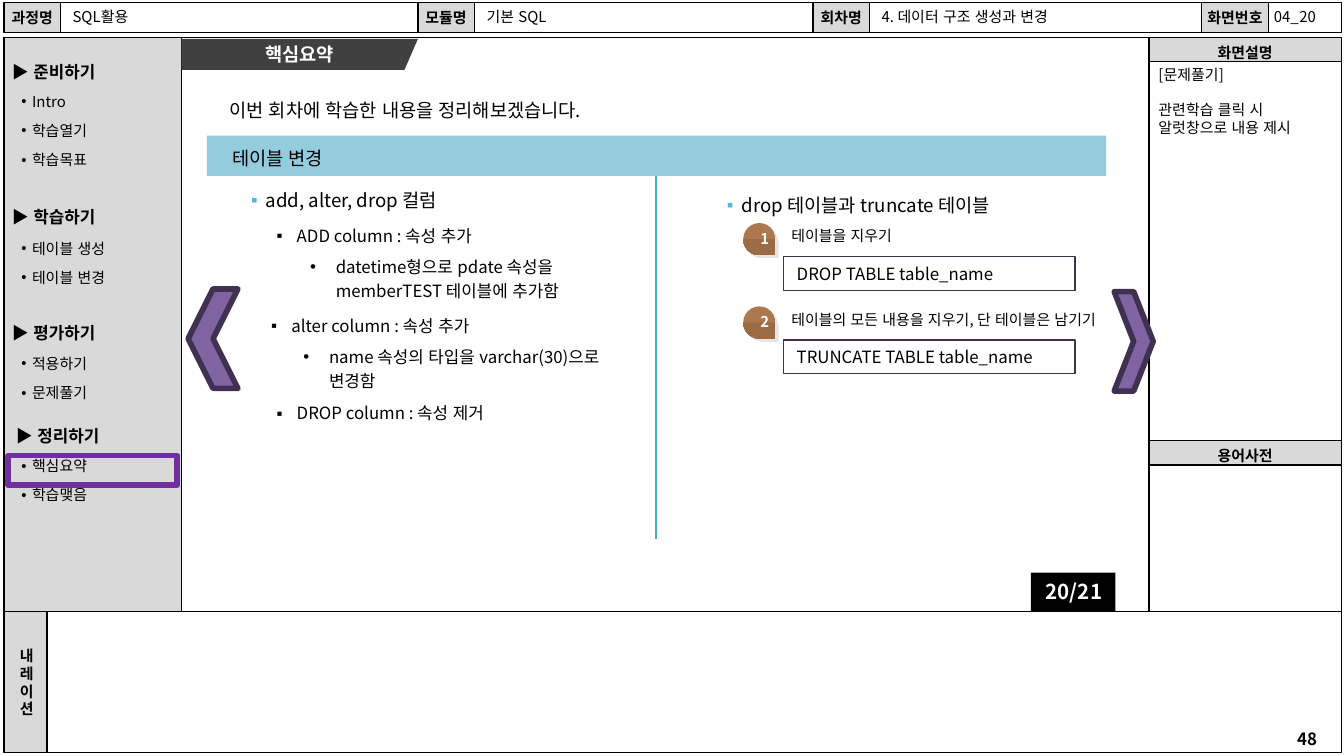
from lxml.etree import SubElement
from pptx import Presentation
from pptx.dml.color import RGBColor
from pptx.enum.lang import MSO_LANGUAGE_ID
from pptx.enum.shapes import MSO_CONNECTOR, MSO_SHAPE
from pptx.enum.text import MSO_ANCHOR, MSO_AUTO_SIZE, PP_ALIGN
from pptx.oxml.ns import qn
from pptx.util import Pt

PX = 9144
FONT = "Noto Sans CJK KR"
BLACK, WHITE, GREY = "000000", "FFFFFF", "D9D9D9"
PURPLE, DARK_PURPLE = "8064A2", "403152"
TIGHT = (9, 4, 9, 4)
TOPIC = dict(size=10, grow=True, bullet="▪", indent=11, bullet_color="56B8D6", after=3)

def emu(*lengths):
    """Turn px lengths into EMU."""
    return [length * PX for length in lengths]

def rgb(hex_color):
    """Turn a hex string into a colour."""
    return RGBColor.from_string(hex_color)

def paint(shape, fill, line, weight):
    """Set fill and outline, without a shadow."""
    shape.shadow.inherit = False
    for part, color in [(shape.fill, fill), (shape.line.fill, line)]:
        if color:
            part.solid()
            part.fore_color.rgb = rgb(color)
        else:
            part.background()
    shape.line.width = Pt(weight)

def block(slide, box, fill=None, line=BLACK, weight=0.75, kind=MSO_SHAPE.RECTANGLE):
    """Add a painted preset shape."""
    shape = slide.shapes.add_shape(kind, *emu(*box))
    paint(shape, fill, line, weight)
    return shape

def add_bullet(paragraph, symbol, indent, color):
    """Give a paragraph a hanging bullet."""
    props = paragraph._p.get_or_add_pPr()
    props.set("marL", str(indent * PX))
    props.set("indent", str(-indent * PX))
    if color:
        SubElement(SubElement(props, qn("a:buClr")), qn("a:srgbClr"), val=color)
    SubElement(props, qn("a:buFont"), typeface="Arial")
    SubElement(props, qn("a:buChar"), char=symbol)

def write(shape, lines, size=8, color=BLACK, bold=False, align=PP_ALIGN.LEFT,
          anchor=MSO_ANCHOR.TOP, insets=(10, 5, 10, 5), wrap=True, grow=False, bullet=None,
          indent=8, bullet_color=None, spacing=None, gap=0, after=None, font=FONT):
    """Fill a shape with one paragraph for each line."""
    frame = shape.text_frame
    frame.word_wrap = wrap
    frame.auto_size = MSO_AUTO_SIZE.SHAPE_TO_FIT_TEXT if grow else MSO_AUTO_SIZE.NONE
    frame.vertical_anchor = anchor
    frame.margin_left, frame.margin_top, frame.margin_right, frame.margin_bottom = emu(*insets)
    for index, line in enumerate(lines):
        paragraph = frame.add_paragraph() if index else frame.paragraphs[0]
        if bullet:
            add_bullet(paragraph, bullet, indent, bullet_color)
        paragraph.alignment = align
        paragraph.line_spacing = spacing
        paragraph.space_before = Pt(gap if index else 0)
        paragraph.space_after = Pt(after or 0)
        run = paragraph.add_run()
        run.text = line
        run.font.size, run.font.bold, run.font.name = Pt(size), bold, font
        run.font.language_id = MSO_LANGUAGE_ID.KOREAN
        run.font.color.rgb = rgb(color)
        SubElement(run._r.get_or_add_rPr(), qn("a:ea"), typeface=FONT)

def label(slide, box, lines, **style):
    """Add a text box."""
    write(slide.shapes.add_textbox(*emu(*box)), lines, **style)

def caption(slide, box, lines, **style):
    """Add a grey cell with a bold centred caption."""
    write(block(slide, box, GREY), lines, bold=True, align=PP_ALIGN.CENTER,
          anchor=MSO_ANCHOR.MIDDLE, wrap=False, **style)

def header(slide, box):
    """Build the row of course fields."""
    left, top, _, height = box
    fields = [("과정명", 42, "SQL활용", 266), ("모듈명", 42, "기본 SQL", 252),
              ("회차명", 42, "4. 데이터 구조 생성과 변경", 247), ("화면번호", 50, None, 54)]
    for name, name_width, value, value_width in fields:
        caption(slide, (left, top, name_width, height), [name])
        left += name_width
        block(slide, (left, top, value_width, height), WHITE)
        if value:
            label(slide, (left, top, value_width, 20), [value], insets=TIGHT, wrap=False)
        left += value_width
    for offset, width, part in [(-60, 40, "04_"), (-41, 34, "20")]:
        label(slide, (left + offset, top - 1, width, 24), [part], wrap=False, grow=True)

def sidebar(slide, box):
    """Build the menu and mark the current entry."""
    left, top, width, _ = box
    block(slide, box, GREY)
    menu = [("준비하기", -4, 13, 41, ["Intro", "학습열기", "학습목표"]),
            ("학습하기", -4, 121, 150, ["테이블 생성", "테이블 변경"]),
            ("평가하기", -4, 207, 236, ["적용하기", "문제풀기"]),
            ("정리하기", -1, 284, 312, ["핵심요약", "학습맺음"])]
    for title, title_x, title_y, list_y, entries in menu:
        label(slide, (left + title_x, top + title_y, 115, 25), ["▶ " + title],
              size=9, bold=True, grow=True)
        label(slide, (left + 3, top + list_y, width - 3, 19 * len(entries)), entries,
              insets=(10, 0, 0, 0), grow=True, bullet="•", gap=6)
    block(slide, (left + 3, top + 311, 126, 22), None, "7030A0", 3)

def description_panel(slide, box):
    """Build the screen description and glossary column."""
    left, top, width, height = box
    block(slide, (left, top + 4, width, height - 4), WHITE)
    for offset, title in [(300, "용어사전"), (0, "화면설명")]:
        caption(slide, (left, top + offset, width, 18), [title], spacing=1.3)
    label(slide, (left - 2, top + 17, width + 4, 284),
          ["[문제풀기]", "관련학습 클릭 시 알럿창으로 내용 제시"], insets=TIGHT, gap=9)

def narration(slide, box):
    """Build the narration strip and the page number."""
    left, top, width, height = box
    block(slide, (left + 21, top, width - 21, height), WHITE)
    caption(slide, (left, top, 32, height), list("내레이션"), insets=(10, 5, 8, 5))
    label(slide, (left + 946, top + 82, 47, 25), ["48"], size=9, bold=True, align=PP_ALIGN.CENTER)

def title_tab(slide, box):
    """Build the slanted title tab."""
    left, top, width, height = box
    right, bottom = left + width, top + height
    outline = slide.shapes.build_freeform(left, top, PX)
    outline.add_line_segments([(right, top), (right - 10, bottom), (left, bottom)])
    tab = outline.convert_to_shape()
    paint(tab, "404040", None, 0)
    write(tab, ["핵심요약"], size=10, color=WHITE, bold=True, align=PP_ALIGN.CENTER,
          anchor=MSO_ANCHOR.MIDDLE, font="Cambria")

def column_change(slide, box):
    """Build the column on adding, altering and dropping columns."""
    left, top, width, _ = box
    label(slide, (left, top, width, 27), ["add, alter, drop 컬럼"], **TOPIC)
    for x, y, text in [(19, 27, "ADD column : 속성 추가"), (15, 94, "alter column : 속성 추가"),
                       (19, 159, "DROP column : 속성 제거")]:
        label(slide, (left + x, top + y, 304, 25), [text], size=9, grow=True, bullet="▪", indent=15)
    for x, y, w, text in [(44, 47, 275, "datetime형으로 pdate 속성을 memberTEST 테이블에 추가함"),
                          (39, 114, 244, "name 속성의 타입을 varchar(30)으로 변경함")]:
        label(slide, (left + x, top + y, w, 45), [text], size=9, grow=True,
              bullet="•", indent=19, spacing=1.2)

def number_badge(slide, box, number):
    """Build a two-tone numbered drop."""
    left, top, width, _ = box
    drop = block(slide, box, line=None, kind=MSO_SHAPE.TEAR)
    drop.rotation = 90
    drop.fill.gradient()
    drop.fill.gradient_angle = 0
    for stop, position, tone in zip(drop.fill.gradient_stops, (0.49, 0.51), ("AD784D", "9A6B44")):
        stop.position = position
        stop.color.rgb = rgb(tone)
    effects = drop._element.spPr.find(qn("a:effectLst"))
    shadow = SubElement(effects, qn("a:outerShdw"), dist=str(Pt(2)), dir="2700000")
    SubElement(SubElement(shadow, qn("a:srgbClr"), val=BLACK), qn("a:alpha"), val="10000")
    label(slide, (left + 3, top, width + 3, 24), [number], color=WHITE, bold=True, wrap=False, grow=True)

def table_removal(slide, box):
    """Build the column on dropping and truncating tables."""
    left, top, width, _ = box
    label(slide, (left, top, width, 27), ["drop 테이블과 truncate 테이블"], **TOPIC)
    steps = [("테이블을 지우기", "DROP TABLE table_name"),
             ("테이블의 모든 내용을 지우기, 단 테이블은 남기기", "TRUNCATE TABLE table_name")]
    for index, (purpose, command) in enumerate(steps):
        y = top + 27 + 62 * index
        number_badge(slide, (left + 22, y, 24, 24), str(index + 1))
        label(slide, (left + 48, y - 2, 304, 24), [purpose], grow=True)
        write(block(slide, (left + 52, y + 25, 217, 25), None, DARK_PURPLE), [command],
              size=9, grow=True, after=3)

def summary(slide, box):
    """Build the summary page with its two columns and paging."""
    left, top, _, _ = box
    title_tab(slide, (left, top + 1, 176, 23))
    block(slide, (left + 19, top + 73, 669, 30), "93CDDD", None)
    label(slide, (left + 26, top + 41, 500, 27), ["이번 회차에 학습한 내용을 정리해보겠습니다."], size=10, grow=True)
    label(slide, (left + 28, top + 76, 90, 27), ["테이블 변경"], size=10, wrap=False, grow=True)
    ends = emu(left + 353, top + 103, left + 353, top + 373)
    divider = slide.shapes.add_connector(MSO_CONNECTOR.STRAIGHT, *ends)
    divider.line.color.rgb = rgb("4BACC6")
    divider.line.width = Pt(0.75)
    SubElement(divider._element.spPr, qn("a:effectLst"))
    column_change(slide, (left + 42, top + 108, 644, 190))
    table_removal(slide, (left + 396, top + 111, 644, 140))
    for x, y, width, turn in [(5, 187, 37, 180), (694, 189, 29, 0)]:
        arrow_box = (left + x, top + y, width, 74)
        block(slide, arrow_box, PURPLE, DARK_PURPLE, 3, MSO_SHAPE.CHEVRON).rotation = turn
    write(block(slide, (left + 632, top + 398, 63, 29), BLACK, None), ["20/21"], size=11,
          color=WHITE, bold=True, align=PP_ALIGN.RIGHT, wrap=False, grow=True)

def main():
    """Build and save the slide."""
    deck = Presentation()
    deck.slide_width = 1000 * PX
    deck.slide_height = deck.slide_width * 9 // 16
    slide = deck.slides.add_slide(deck.slide_layouts[6])
    block(slide, (3, 28, 852, 427), WHITE)
    sidebar(slide, (3, 28, 132, 435))
    description_panel(slide, (855, 28, 143, 434))
    narration(slide, (3, 455, 995, 105))
    header(slide, (3, 2, 995, 22))
    summary(slide, (135, 28, 720, 427))
    deck.save("out.pptx")

if __name__ == "__main__":
    main()
